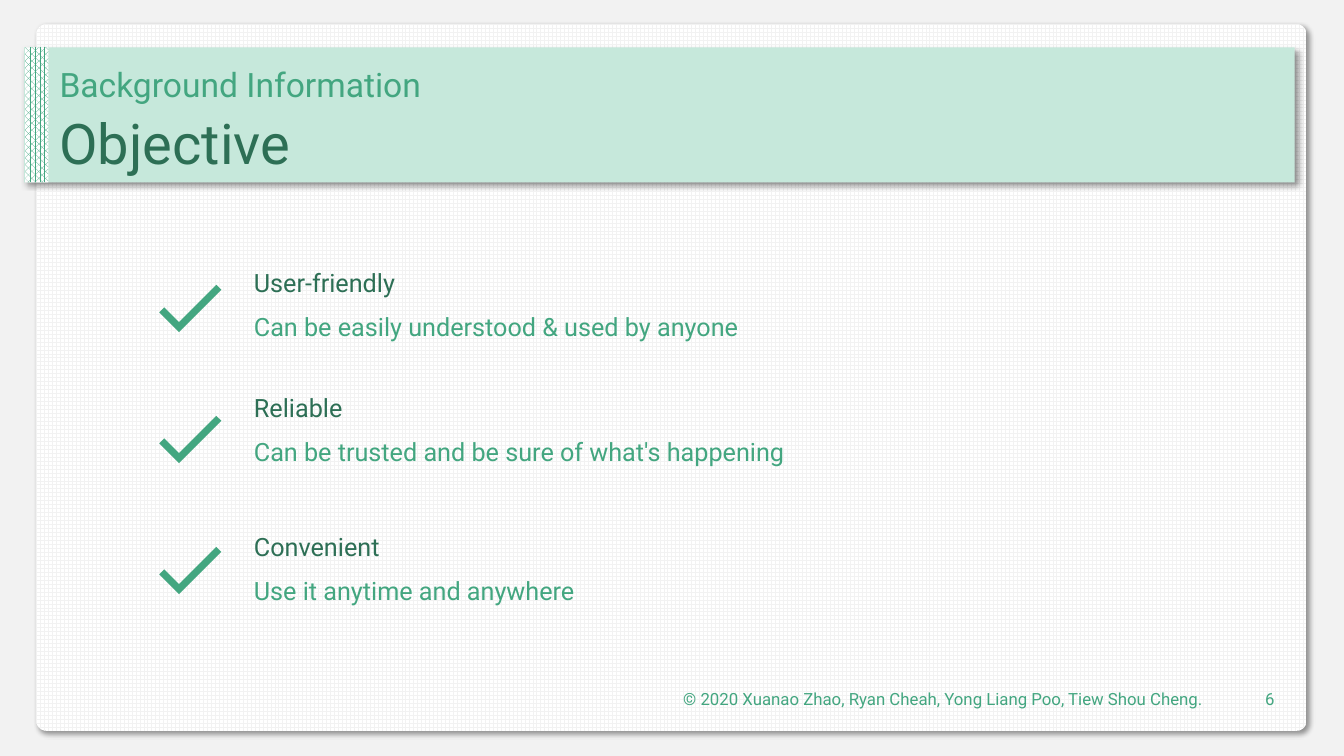
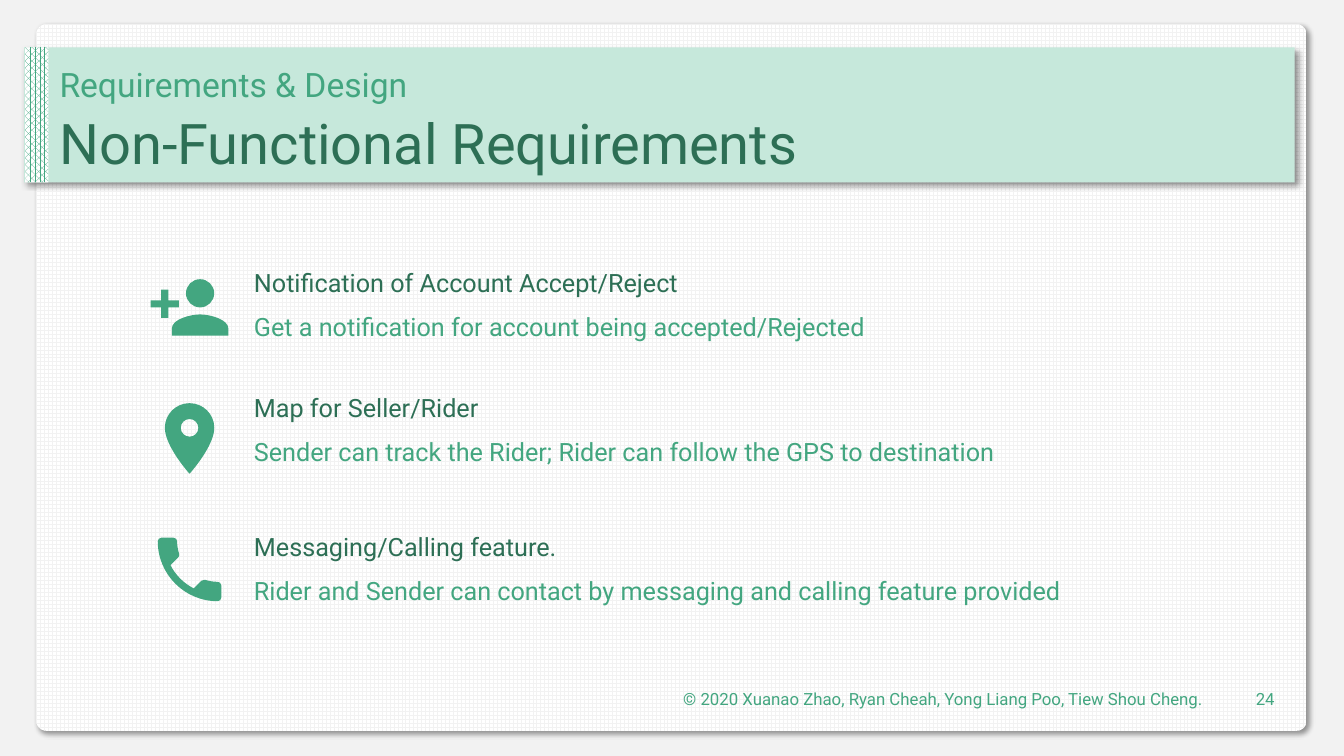
from lxml.etree import SubElement
from pptx import Presentation
from pptx.dml.color import RGBColor as RGB
from pptx.enum.dml import MSO_PATTERN as Hatch
from pptx.enum.shapes import MSO_SHAPE as Form
from pptx.enum.text import MSO_ANCHOR as Anchor, MSO_AUTO_SIZE as Fit, PP_ALIGN as Align
from pptx.oxml.ns import qn
from pptx.util import Inches, Pt

PALE = RGB(0xF2, 0xF2, 0xF2)
WHITE = RGB(0xFF, 0xFF, 0xFF)
MINT = RGB(0xC6, 0xE8, 0xDB)
GREEN = RGB(0x43, 0xA6, 0x80)
DARK = RGB(0x2D, 0x6F, 0x55)
FONT = "Roboto"
CREDIT = "© 2020 Xuanao Zhao, Ryan Cheah, Yong Liang Poo, Tiew Shou Cheng."

GRID = 24
FINE = 100
ICON = Inches(0.84)


def ring(x, y, r):
    """Return the outline of a circle in four curves."""
    k = 0.55 * r
    return [(x, y - r),
            (x + k, y - r, x + r, y - k, x + r, y),
            (x + r, y + k, x + k, y + r, x, y + r),
            (x - k, y + r, x - r, y + k, x - r, y),
            (x - r, y - k, x - k, y - r, x, y - r)]


TICK = [[(9, 16.17), (4.83, 12), (3.41, 13.41), (9, 19), (21, 7), (19.59, 5.59)]]
PERSON = [
    ring(15, 8, 4),
    [(6, 10), (6, 7), (4, 7), (4, 10), (1, 10), (1, 12),
     (4, 12), (4, 15), (6, 15), (6, 12), (9, 12), (9, 10)],
    [(15, 14), (12.33, 14, 7, 15.34, 7, 18), (7, 20), (23, 20), (23, 18),
     (23, 15.34, 17.67, 14, 15, 14)],
]
PIN = [
    [(12, 2), (8.13, 2, 5, 5.13, 5, 9), (5, 14.25, 12, 22, 12, 22),
     (12, 22, 19, 14.25, 19, 9), (19, 5.13, 15.87, 2, 12, 2)],
    ring(12, 9, 2.5),
]
PHONE = [[
    (20, 15.5), (18.75, 15.5, 17.55, 15.3, 16.43, 14.93),
    (16.08, 14.82, 15.69, 14.9, 15.41, 15.17), (13.21, 17.37),
    (10.38, 15.93, 8.06, 13.62, 6.62, 10.78), (8.82, 8.57),
    (9.1, 8.31, 9.18, 7.92, 9.07, 7.57), (8.7, 6.45, 8.5, 5.25, 8.5, 4),
    (8.5, 3.45, 8.05, 3, 7.5, 3), (4, 3), (3.45, 3, 3, 3.45, 3, 4),
    (3, 13.39, 10.61, 21, 20, 21), (20.55, 21, 21, 20.55, 21, 20),
    (21, 16.5), (21, 15.95, 20.55, 15.5, 20, 15.5),
]]


def ends(parts):
    """Return the end point of each part on the fine grid."""
    return [(x * FINE, y * FINE) for *_, x, y in parts]


def bend(item, art):
    """Give the curved parts of a freeform their control points."""
    dots = [dot for parts in art for dot in ends(parts)]
    left, top = (min(side) for side in zip(*dots))
    steps = [part for parts in art for part in parts[1:]]
    for line, part in zip(list(item.element.iter(qn("a:lnTo"))), steps):
        if len(part) == 2:
            continue
        line.tag = qn("a:cubicBezTo")
        for spot in list(line):
            line.remove(spot)
        for x, y in zip(part[::2], part[1::2]):
            SubElement(line, qn("a:pt"), x=str(round(x * FINE - left)),
                       y=str(round(y * FINE - top)))


class Deck:
    """Holds the style and the current slide."""

    def __init__(self):
        """Set the size, the background and the title places."""
        self.file = Presentation()
        self.file.slide_width, self.file.slide_height = Inches(13.33), Inches(7.5)
        self.look = self.file.slide_layouts[1]
        back = self.look.background.fill
        back.solid()
        back.fore_color.rgb = PALE
        spots = {0: (1.09, 0.71), 1: (0.54, 0.55)}
        for item in list(self.look.placeholders):
            num = item.placeholder_format.idx
            if num in spots:
                top, high = spots[num]
                item.left, item.top = Inches(0.49), Inches(top)
                item.width, item.height = Inches(12.35), Inches(high)
            else:
                self.look.shapes.element.remove(item.element)

    def panel(self, form, box, fill, hatch=None, shade=False):
        """Draw a plain, hatched or shaded panel."""
        item = self.slide.shapes.add_shape(form, *map(Inches, box))
        item.line.fill.background()
        item.shadow.inherit = False
        if hatch:
            item.fill.patterned()
            item.fill.pattern = hatch
            item.fill.back_color.rgb = WHITE
        else:
            item.fill.solid()
        item.fill.fore_color.rgb = fill
        if shade:
            fx = item.element.spPr.find(qn("a:effectLst"))
            cast = SubElement(fx, qn("a:outerShdw"), blurRad=str(Pt(4)), dist=str(Pt(3)),
                              dir="2700000", algn="tl", rotWithShape="0")
            tint = SubElement(cast, qn("a:srgbClr"), val="000000")
            SubElement(tint, qn("a:alpha"), val="40000")
        return item

    def frame(self):
        """Draw the card and the title band and move them to the layout."""
        card = self.panel(Form.ROUNDED_RECTANGLE, (0.36, 0.24, 12.6, 7.01),
                          PALE, Hatch.LARGE_GRID, True)
        card.adjustments[0] = 0.1 / 7.01
        band = self.panel(Form.RECTANGLE, (0.24, 0.47, 12.6, 1.34), MINT, shade=True)
        edge = self.panel(Form.RECTANGLE, (0.25, 0.47, 0.23, 1.34),
                          GREEN, Hatch.PERCENT_70)
        for num, item in enumerate((card, band, edge), 20):
            item.element.nvSpPr.cNvPr.id = num
            self.look.shapes.element.append(item.element)

    def style(self, para, size, tint):
        """Set the font of a paragraph."""
        para.font.name, para.font.size = FONT, Pt(size)
        para.font.color.rgb = tint

    def head(self, item, text, size, tint):
        """Fill a placeholder in the title band."""
        frame = item.text_frame
        frame.text = text
        frame.auto_size = Fit.NONE
        frame.vertical_anchor = Anchor.BOTTOM
        para = frame.paragraphs[0]
        props = para._p.get_or_add_pPr()
        props.set("marL", "0")
        props.set("indent", "0")
        SubElement(props, qn("a:buNone"))
        para.alignment = Align.LEFT
        para.line_spacing, para.space_before = 0.9, Pt(0)
        self.style(para, size, tint)

    def text(self, box, text, size, tint):
        """Add a text box and return its frame."""
        frame = self.slide.shapes.add_textbox(*map(Inches, box)).text_frame
        frame.word_wrap = True
        frame.text = text
        self.style(frame.paragraphs[0], size, tint)
        return frame

    def note(self, left, wide, text):
        """Add a right-aligned footer text."""
        frame = self.text((left, 6.73, wide, 0.4), text, 12, GREEN)
        frame.vertical_anchor = Anchor.MIDDLE
        frame.paragraphs[0].alignment = Align.RIGHT

    def icon(self, top, art):
        """Draw an icon from its outlines."""
        first, *rest = map(ends, art)
        pen = self.slide.shapes.build_freeform(*first[0], scale=ICON / (GRID * FINE))
        pen.add_line_segments(first[1:])
        for dots in rest:
            pen.move_to(*dots[0])
            pen.add_line_segments(dots[1:])
        item = pen.convert_to_shape(Inches(1.46), Inches(top))
        bend(item, art)
        item.shadow.inherit = False
        item.fill.solid()
        item.fill.fore_color.rgb = GREEN
        item.line.fill.background()

    def point(self, top, name, text, wide):
        """Add a heading with its line of detail."""
        for y, words, span, tint in ((top, name, 6.85, DARK),
                                     (top + 0.44, text, wide, GREEN)):
            frame = self.text((2.42, y, span, 0.4), words, 18, tint)
            frame.auto_size = Fit.SHAPE_TO_FIT_TEXT

    def page(self, topic, title, num, rows):
        """Add a slide with its title, points and footer."""
        self.slide = self.file.slides.add_slide(self.look)
        if len(self.file.slides) == 1:
            self.frame()
        self.head(self.slide.placeholders[1], topic, 24, GREEN)
        self.head(self.slide.shapes.title, title, 40, DARK)
        for n, (top, (art, *words)) in enumerate(zip((2.6, 3.84, 5.22), rows)):
            self.icon(2.63 + 1.3 * n, art)
            self.point(top, *words)
        self.note(5.44, 6.59, CREDIT)
        self.note(12.15, 0.59, num)


def main():
    """Build and save the slides."""
    deck = Deck()
    deck.page("Background Information", "Objective", "6", [
        (TICK, "User-friendly", "Can be easily understood & used by anyone", 6.67),
        (TICK, "Reliable", "Can be trusted and be sure of what's happening", 6.67),
        (TICK, "Convenient", "Use it anytime and anywhere", 6.67),
    ])
    deck.page("Requirements & Design", "Non-Functional Requirements", "24", [
        (PERSON, "Notification of Account Accept/Reject",
         "Get a notification for account being accepted/Rejected", 6.67),
        (PIN, "Map for Seller/Rider",
         "Sender can track the Rider; Rider can follow the GPS to destination", 7.67),
        (PHONE, "Messaging/Calling feature.",
         "Rider and Sender can contact by messaging and calling feature provided", 8.23),
    ])
    deck.file.save("out.pptx")


if __name__ == "__main__":
    main()
